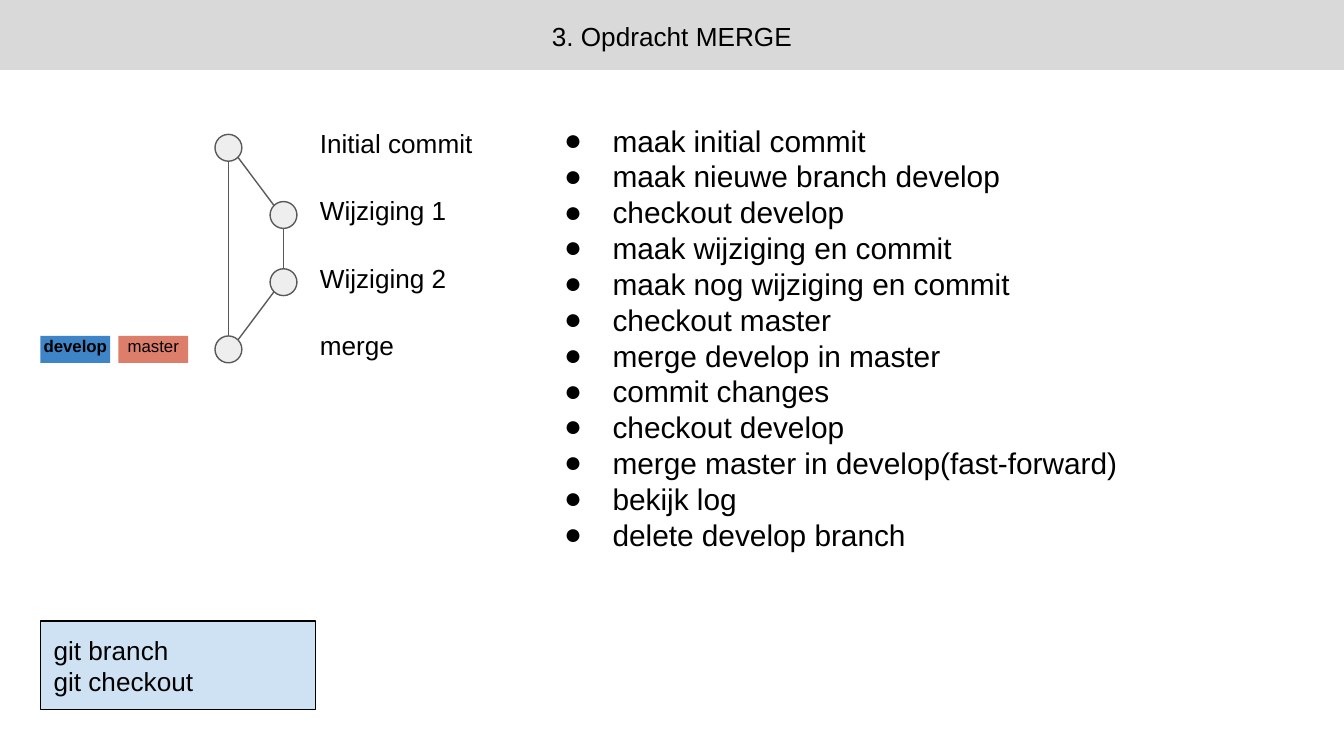
import math

import pptx
import pptx.dml.color
import pptx.enum.shapes
import pptx.enum.text
import pptx.oxml.ns
import pptx.util
from lxml import etree

TITLE = "3. Opdracht MERGE"
# label, column and row of each commit in the graph
COMMITS = [
    ("Initial commit", 0, 0),
    ("Wijziging 1", 1, 1),
    ("Wijziging 2", 1, 2),
    ("merge", 0, 3),
]
HISTORY = [(0, 1), (1, 2), (2, 3), (0, 3)]
BRANCHES = [("develop", True), ("master", False)]
COMMANDS = ["git branch", "git checkout"]
STEPS = [
    "maak initial commit",
    "maak nieuwe branch develop",
    "checkout develop",
    "maak wijziging en commit",
    "maak nog wijziging en commit",
    "checkout master",
    "merge develop in master",
    "commit changes",
    "checkout develop",
    "merge master in develop(fast-forward)",
    "bekijk log",
    "delete develop branch",
]
COLORS = {
    "text": "000000", "title": "D9D9D9", "commit": "EEEEEE", "edge": "595959",
    "develop": "3D85C6", "master": "DD7E6B", "commands": "CFE2F3",
}

WIDTH, HEIGHT = 10, 5.625
MARGIN = 0.3
GRAPH_X, GRAPH_Y = 1.7, 1.1
COLUMN, ROW = 0.41, 0.5
RADIUS = 0.1
LABEL_X, LABEL_HEIGHT = 2.38, 0.3
TAG_WIDTH, TAG_STEP = 0.52, 0.58

SHAPES = pptx.enum.shapes.MSO_SHAPE
CENTER = pptx.enum.text.PP_ALIGN.CENTER
LEFT = pptx.enum.text.PP_ALIGN.LEFT
inches = pptx.util.Inches


def rgb(name):
    return pptx.dml.color.RGBColor.from_string(COLORS[name])


def write(shape, lines, size, insets=(0, 0, 0, 0), align=LEFT, bold=False):
    frame = shape.text_frame
    frame.text = "\n".join(lines)
    frame.word_wrap = True
    frame.vertical_anchor = pptx.enum.text.MSO_ANCHOR.TOP
    (frame.margin_left, frame.margin_top,
     frame.margin_right, frame.margin_bottom) = map(inches, insets)
    for paragraph in frame.paragraphs:
        paragraph.alignment = align
        for run in paragraph.runs:
            run.font.name = "Arial"
            run.font.size = pptx.util.Pt(size)
            run.font.bold = bold
            run.font.color.rgb = rgb("text")


def add_filled(kind, box, fill, line=None):
    shape = slide.shapes.add_shape(kind, *map(inches, box))
    shape.shadow.inherit = False
    shape.fill.solid()
    shape.fill.fore_color.rgb = rgb(fill)
    if line:
        shape.line.color.rgb = rgb(line)
        shape.line.width = pptx.util.Pt(0.75)
    else:
        shape.line.fill.background()
    return shape


def add_edge(start, end):
    """Join two commits at the nearest of the eight compass points."""
    dx, dy = end[0] - start[0], end[1] - start[1]
    angle = math.copysign(math.pi / 4, dx) if dx else 0
    reach_x, reach_y = RADIUS * math.sin(angle), RADIUS * math.cos(angle)
    edge = slide.shapes.add_connector(
        pptx.enum.shapes.MSO_CONNECTOR.STRAIGHT,
        inches(start[0] + reach_x), inches(start[1] + reach_y),
        inches(end[0] - reach_x), inches(end[1] - reach_y))
    edge.line.color.rgb = rgb("edge")
    edge.line.width = pptx.util.Pt(0.75)
    etree.SubElement(edge._element.spPr, pptx.oxml.ns.qn("a:effectLst"))


def add_bullet(paragraph):
    properties = paragraph._p.get_or_add_pPr()
    properties.set("marL", str(inches(0.5)))
    properties.set("indent", str(inches(-0.36)))
    color = etree.SubElement(properties, pptx.oxml.ns.qn("a:buClr"))
    etree.SubElement(color, pptx.oxml.ns.qn("a:srgbClr"), val=COLORS["text"])
    etree.SubElement(properties, pptx.oxml.ns.qn("a:buFont"), typeface="Arial")
    etree.SubElement(properties, pptx.oxml.ns.qn("a:buChar"), char="●")


deck = pptx.Presentation()
deck.slide_width, deck.slide_height = inches(WIDTH), inches(HEIGHT)
slide = deck.slides.add_slide(deck.slide_layouts[6])

title = add_filled(SHAPES.RECTANGLE, (0, 0, WIDTH, 0.52), "title")
write(title, [TITLE], 14, (0.1, 0.15, 0.1, 0.1), CENTER)

centers = [(GRAPH_X + column * COLUMN, GRAPH_Y + row * ROW)
           for _, column, row in COMMITS]
for (message, _, _), (x, y) in zip(COMMITS, centers):
    add_filled(SHAPES.OVAL, (x - RADIUS, y - RADIUS, 2 * RADIUS, 2 * RADIUS),
               "commit", "edge")
    label = slide.shapes.add_textbox(
        *map(inches, (LABEL_X, y - LABEL_HEIGHT / 2, 1.2, LABEL_HEIGHT)))
    write(label, [message], 14)
for parent, child in HISTORY:
    add_edge(centers[parent], centers[child])

merge_y = centers[-1][1]
for position, (branch, current) in enumerate(BRANCHES):
    tag = add_filled(
        SHAPES.RECTANGLE,
        (MARGIN + position * TAG_STEP, merge_y - RADIUS, TAG_WIDTH, 2 * RADIUS),
        branch)
    write(tag, [branch], 9, align=CENTER, bold=current)

commands = add_filled(SHAPES.RECTANGLE, (MARGIN, 4.62, 2.05, 0.66),
                      "commands", "text")
write(commands, COMMANDS, 14, (0.1, 0.1, 0.1, 0.1))

steps = slide.shapes.add_textbox(*map(inches, (3.96, 0.81, WIDTH - 3.96, 3.42)))
write(steps, STEPS, 16, (0.1, 0.1, 0.1, 0.1))
for step in steps.text_frame.paragraphs:
    add_bullet(step)

deck.save("out.pptx")
